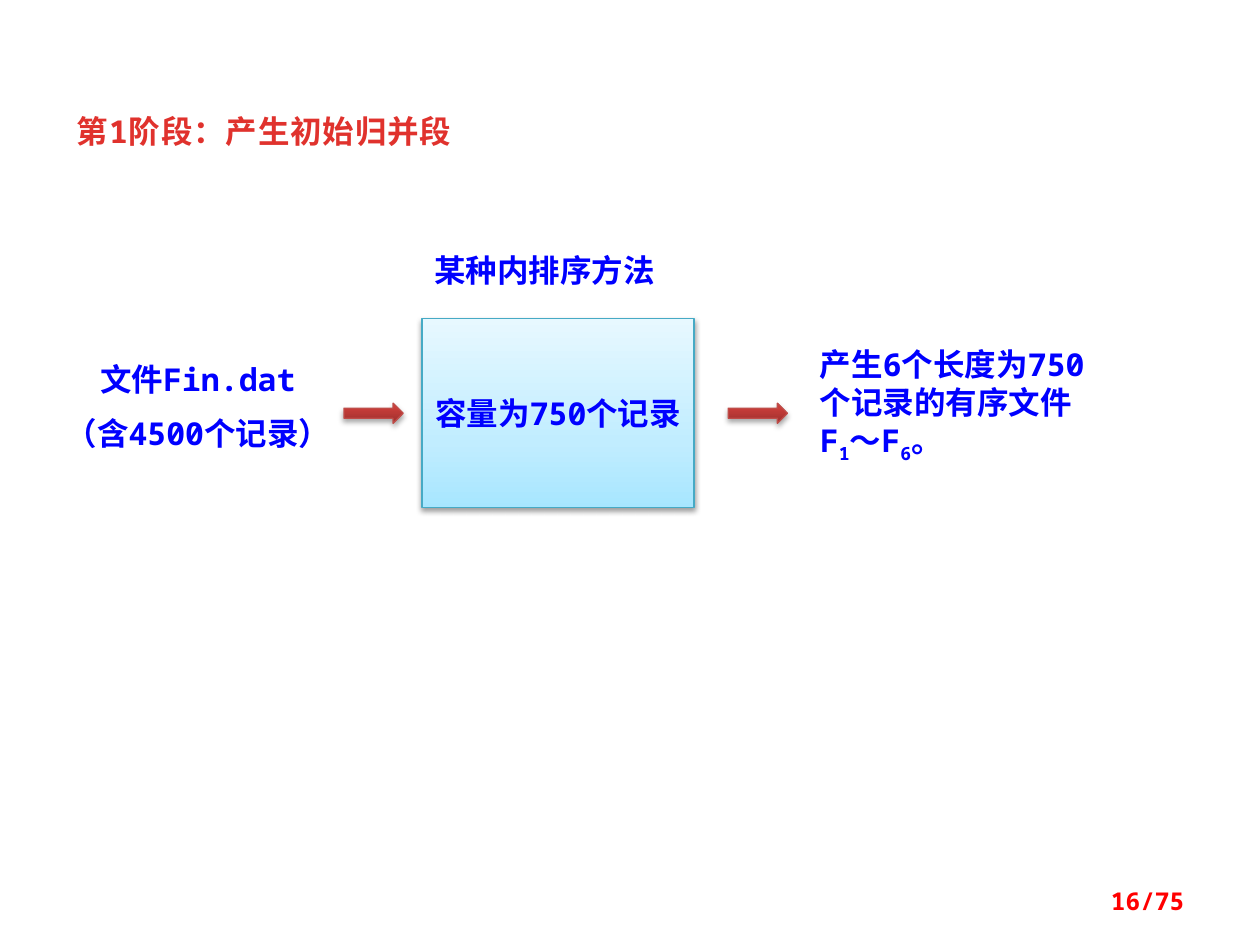
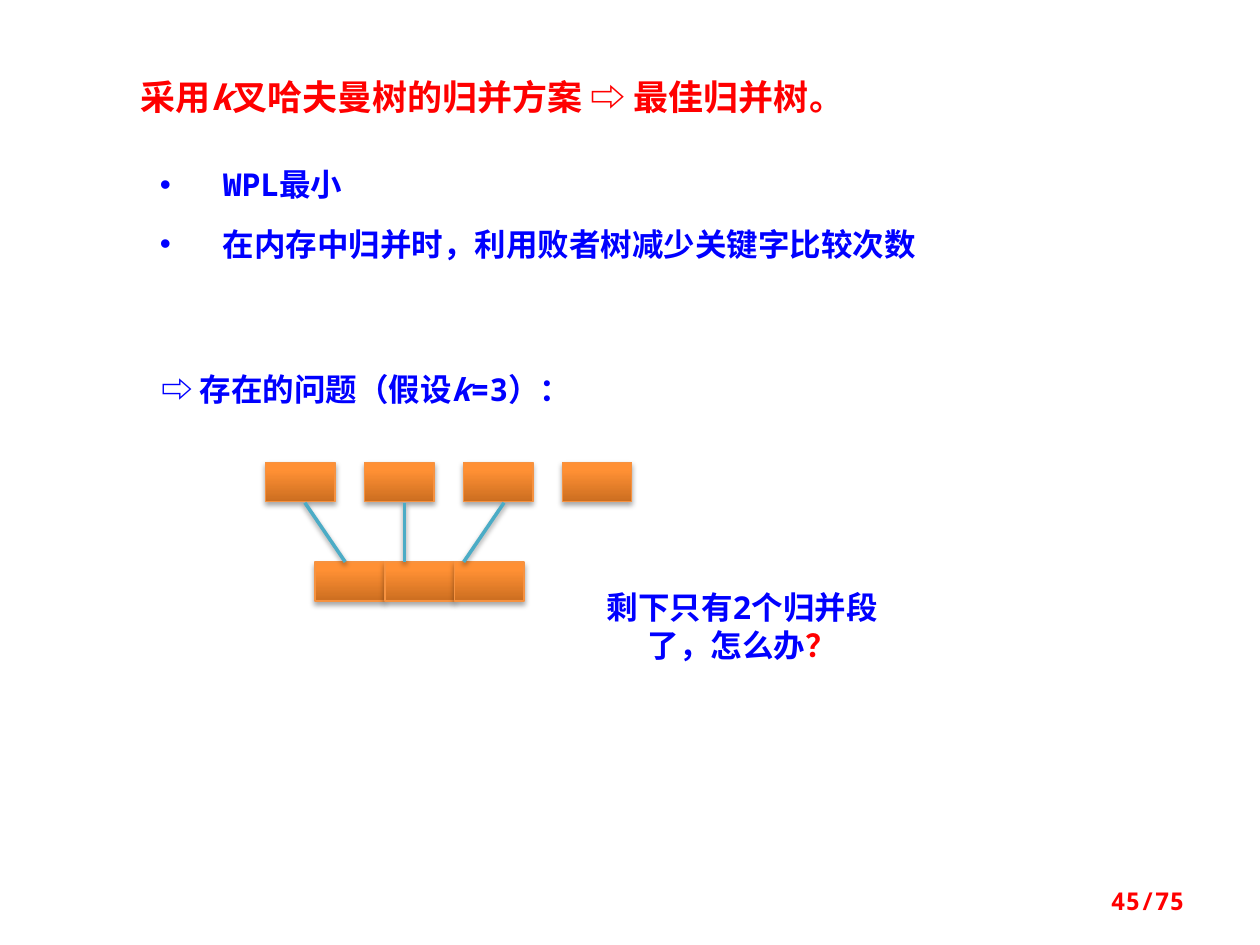
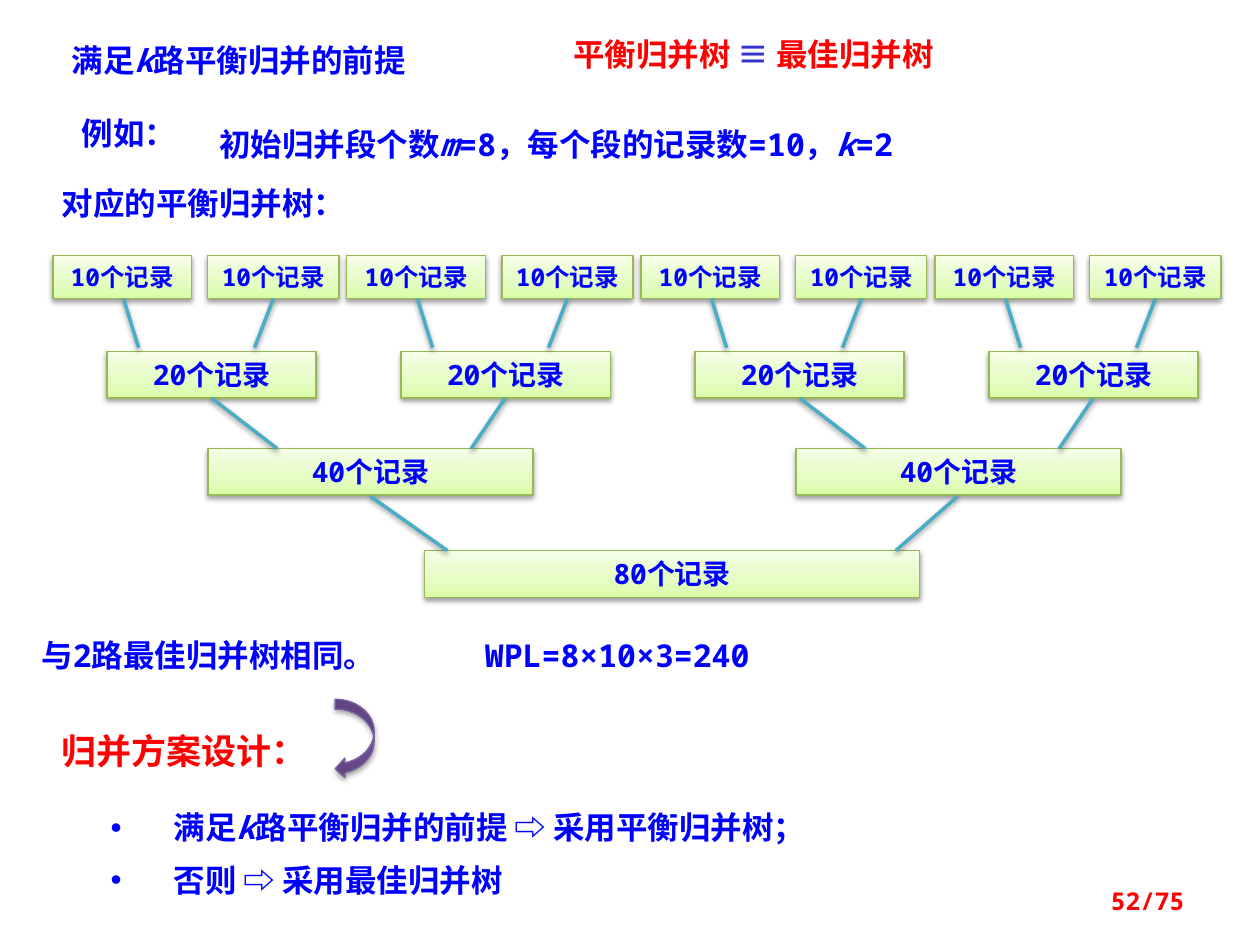
from lxml.etree import SubElement
from pptx import Presentation
from pptx.dml.color import RGBColor
from pptx.enum.shapes import MSO_CONNECTOR, MSO_SHAPE
from pptx.enum.text import MSO_ANCHOR, PP_ALIGN
from pptx.oxml.ns import qn
from pptx.util import Inches, Pt

MONO, CJK, CJK_JP = "Noto Sans Mono", "Noto Sans CJK SC", "Noto Sans CJK JP"
BLUE, RED, TITLE_RED, INDIGO = "0000FF", "FF0000", "E0322D", "3333CC"
WHITE, LINK = "FFFFFF", "4BACC6"
CENTER = PP_ALIGN.CENTER

# name: gradient stops, outline, shadow opacity, shadow distance
LOOKS = {
    "sky": ([(0, "A7E6FF"), (35, "C1EDFF"), (100, "E7F8FF")], "46AAC5", 38, 1.6),
    "red": ([(0, "9C2F2D"), (80, "CB3E3A"), (100, "CE3B37")], "BF4C48", 35, 1.8),
    "orange": ([(0, "CC6E20"), (80, "FF9034"), (100, "FF9136")], "F69240", 35, 1.8),
    "green": ([(0, "DAFDA7"), (35, "E4FCC2"), (100, "F5FFE7")], "98B955", 38, 1.6),
    "purple": ([(0, "5F4480"), (80, "7B58A6"), (100, "7C57A8")], "7D60A0", 35, 1.8),
}

ITALIC, SUB = {"italic": True}, {"baseline": -25000}
K = ("k", ITALIC)

STAGE_TEXTS = [
    ((0.31, 2.81, 2.52, 0.86), [["文件Fin.dat"], ["（含4500个记录）"]],
     {"align": CENTER, "before": 9}),
    ((6.41, 2.69, 2.36, 1.01),
     [["产生6个长度为750个记录的有序文件F", ("1", SUB), "～F", ("6", SUB), "。"]], {}),
    ((0.51, 0.84, 4.49, 0.4), [["第1阶段：产生初始归并段"]],
     {"color": TITLE_RED, "spacing": 50}),
    ((3.35, 1.94, 2.36, 0.4), [["某种内排序方法"]], {}),
]
MEMORY = ((3.35, 2.53, 2.16, 1.5), "容量为750个记录")
STAGE_ARROWS = [2.73, 5.78]

HUFFMAN_TEXTS = [
    ((1.02, 0.55, 6.33, 0.44),
     [["采用", K, "叉哈夫曼树的归并方案 ⇨ ", ("最佳归并树", {"name": CJK_JP}), "。"]],
     {"size": 20, "color": RED}),
    ((4.67, 4.62, 2.44, 0.71),
     [["剩下只有2个归并段了，怎么办", ("？", {"color": RED})]], {"align": CENTER}),
    ((1.18, 2.89, 5.07, 0.4), [["⇨ 存在的问题（假设", K, "=3）："]], {}),
    ((1.17, 1.09, 7.5, 1.05),
     [["WPL最小"], ["在内存中归并时，利用败者树减少关键字比较次数"]],
     {"bullet_line": 34}),
]
# left of first box, step, top, count
SEGMENT_ROWS = [(2.11, 0.785, 3.67, 4), (2.5, 0.555, 4.46, 3)]
SEGMENT_SIZE = (0.55, 0.31)

BALANCED_TEXTS = [
    ((0.47, 0.28, 3.98, 0.4), [["满足", K, "路平衡归并的前提"]], {}),
    ((4.45, 0.23, 4.77, 0.4),
     [["平衡归并树 ", ("≡ ", {"color": INDIGO}), "最佳归并树"]], {"color": RED}),
    ((0.55, 0.86, 1.48, 0.4), [["例如："]], {}),
    ((1.64, 0.94, 7.03, 0.4),
     [["初始归并段个数", ("m", ITALIC), "=8，每个段的记录数=10，", K, "=2"]], {}),
    ((0.39, 1.41, 3.05, 0.4), [["对应的平衡归并树："]], {}),
    ((0.23, 5, 3.28, 0.4), [["与2路最佳归并树相同。"]], {}),
    ((3.75, 5, 3.28, 0.4), [["WPL=8×10×3=240"]], {}),
    ((0.39, 5.74, 2.5, 0.44), [["归并方案设计："]],
     {"size": 20, "color": RED, "font": CJK}),
    ((0.78, 6.25, 7.34, 0.9),
     [["满足", K, "路平衡归并的前提 ⇨ 采用平衡归并树；"], ["否则 ⇨ 采用最佳归并树"]],
     {"bullet_line": 30}),
]
TREE_WIDTH = 28 / 3
# records, repeats, top, height, text size, (left, width) of each box
TREE_LEVELS = [
    (10, 4, 2.03, 0.34, 14, [(0.42, 1.1), (1.65, 1.04)]),
    (20, 4, 2.79, 0.37, 16, [(0.85, 1.66)]),
    (40, 2, 3.56, 0.37, 16, [(1.65, 2.58)]),
    (80, 1, 4.37, 0.37, 16, [(3.37, 3.93)]),
]
# repeats, upper y, lower y, (upper x, lower x) of each link
TREE_LINKS = [
    (4, 2.37, 2.76, [(0.98, 1.1), (2.17, 2.02)]),
    (2, 3.16, 3.56, [(1.68, 2.2), (4.01, 3.74)]),
    (1, 3.94, 4.37, [(2.94, 3.55), (7.6, 7.11)]),
]


def rgb(value):
    return RGBColor.from_string(value)


def add_shadow(shape, opacity, distance):
    effects = SubElement(shape._element.spPr, qn("a:effectLst"))
    shadow = SubElement(effects, qn("a:outerShdw"), blurRad=str(Pt(3.1)),
                        dist=str(Pt(distance)), dir="5400000", rotWithShape="0")
    color = SubElement(shadow, qn("a:srgbClr"), val="000000")
    SubElement(color, qn("a:alpha"), val=str(opacity * 1000))


def add_block(page, kind, at, look):
    stops, outline, opacity, distance = LOOKS[look]
    block = page.shapes.add_shape(kind, *map(Inches, at))
    properties = block._element.spPr
    gradient = SubElement(properties, qn("a:gradFill"), rotWithShape="1")
    stop_list = SubElement(gradient, qn("a:gsLst"))
    for position, color in stops:
        stop = SubElement(stop_list, qn("a:gs"), pos=str(position * 1000))
        SubElement(stop, qn("a:srgbClr"), val=color)
    SubElement(gradient, qn("a:lin"), ang="16200000", scaled="0")
    block.line.color.rgb = rgb(outline)
    block.line.width = Pt(0.75)
    add_shadow(block, opacity, distance)
    return block


def add_link(page, start, end):
    link = page.shapes.add_connector(MSO_CONNECTOR.STRAIGHT, *map(Inches, start + end))
    link.line.color.rgb = rgb(LINK)
    link.line.width = Pt(2)
    add_shadow(link, 38, 1.6)


def write_span(para, text, italic=None, color=None, name=None, baseline=None):
    span = para.add_run()
    span.text = text
    if italic:
        span.font.italic = True
    if color:
        span.font.color.rgb = rgb(color)
    if name:
        span.font.name = name
    if baseline:
        span.font._element.set("baseline", str(baseline))


def write(frame, paragraphs, size=18, color=BLUE, font=MONO, align=PP_ALIGN.LEFT,
          before=0, spacing=0, bullet_line=0):
    for index, spans in enumerate(paragraphs):
        para = frame.add_paragraph() if index else frame.paragraphs[0]
        para.alignment = align
        if before and index:
            para.space_before = Pt(before)
        properties = para._p.get_or_add_pPr()
        if bullet_line:
            para.line_spacing = Pt(bullet_line)
            properties.set("marL", str(Inches(0.5)))
            properties.set("indent", str(Inches(-0.5)))
            SubElement(properties, qn("a:buFont"), typeface="Arial")
            SubElement(properties, qn("a:buChar"), char="•")
        para.font.size = Pt(size)
        para.font.bold = True
        para.font.name = font
        para.font.color.rgb = rgb(color)
        defaults = properties.find(qn("a:defRPr"))
        SubElement(defaults, qn("a:ea"), typeface=CJK)
        if spacing:
            defaults.set("spc", str(spacing))
        for span in spans:
            text, style = (span, {}) if isinstance(span, str) else span
            write_span(para, text, **style)


def add_text(page, at, paragraphs, style):
    box = page.shapes.add_textbox(*map(Inches, at))
    box.text_frame.word_wrap = True
    if "bullet_line" in style:
        box.fill.solid()
        box.fill.fore_color.rgb = rgb(WHITE)
    write(box.text_frame, paragraphs, **style)
    return box


def add_page(deck, number, texts):
    page = deck.slides.add_slide(deck.slide_layouts[6])
    for at, paragraphs, style in texts:
        add_text(page, at, paragraphs, style)
    footer = add_text(page, (7.17, 6.95, 2.33, 0.4), [[f"{number}/75"]],
                      {"size": 14, "color": RED, "align": PP_ALIGN.RIGHT})
    footer.text_frame.vertical_anchor = MSO_ANCHOR.MIDDLE
    return page


def build_stage(deck):
    page = add_page(deck, 16, STAGE_TEXTS)
    at, label = MEMORY
    memory = add_block(page, MSO_SHAPE.RECTANGLE, at, "sky")
    memory.text_frame.word_wrap = False
    write(memory.text_frame, [[label]], align=CENTER)
    for left in STAGE_ARROWS:
        add_block(page, MSO_SHAPE.RIGHT_ARROW, (left, 3.2, 0.47, 0.16), "red")


def build_huffman(deck):
    page = add_page(deck, 45, HUFFMAN_TEXTS)
    for first, step, top, count in SEGMENT_ROWS:
        for index in range(count):
            at = (first + step * index, top) + SEGMENT_SIZE
            add_block(page, MSO_SHAPE.RECTANGLE, at, "orange")
    for index in range(3):
        add_link(page, (2.42 + 0.79 * index, 3.99), (2.74 + 0.47 * index, 4.46))


def build_balanced(deck):
    page = add_page(deck, 52, BALANCED_TEXTS)
    for records, repeats, top, height, size, boxes in TREE_LEVELS:
        for index in range(repeats):
            shift = TREE_WIDTH / repeats * index
            for left, width in boxes:
                node = add_block(page, MSO_SHAPE.RECTANGLE,
                                 (left + shift, top, width, height), "green")
                frame = node.text_frame
                frame.margin_left = frame.margin_right = 0
                frame.vertical_anchor = MSO_ANCHOR.TOP
                write(frame, [[f"{records}个记录"]], size=size, align=CENTER)
    for repeats, upper, lower, links in TREE_LINKS:
        for index in range(repeats):
            shift = TREE_WIDTH / repeats * index
            for start, end in links:
                add_link(page, (start + shift, upper), (end + shift, lower))
    add_block(page, MSO_SHAPE.CURVED_LEFT_ARROW, (2.66, 5.55, 0.31, 0.63), "purple")


def main():
    deck = Presentation()
    deck.slide_width, deck.slide_height = Inches(10), Inches(7.5)
    build_stage(deck)
    build_huffman(deck)
    build_balanced(deck)
    deck.save("out.pptx")


if __name__ == "__main__":
    main()
